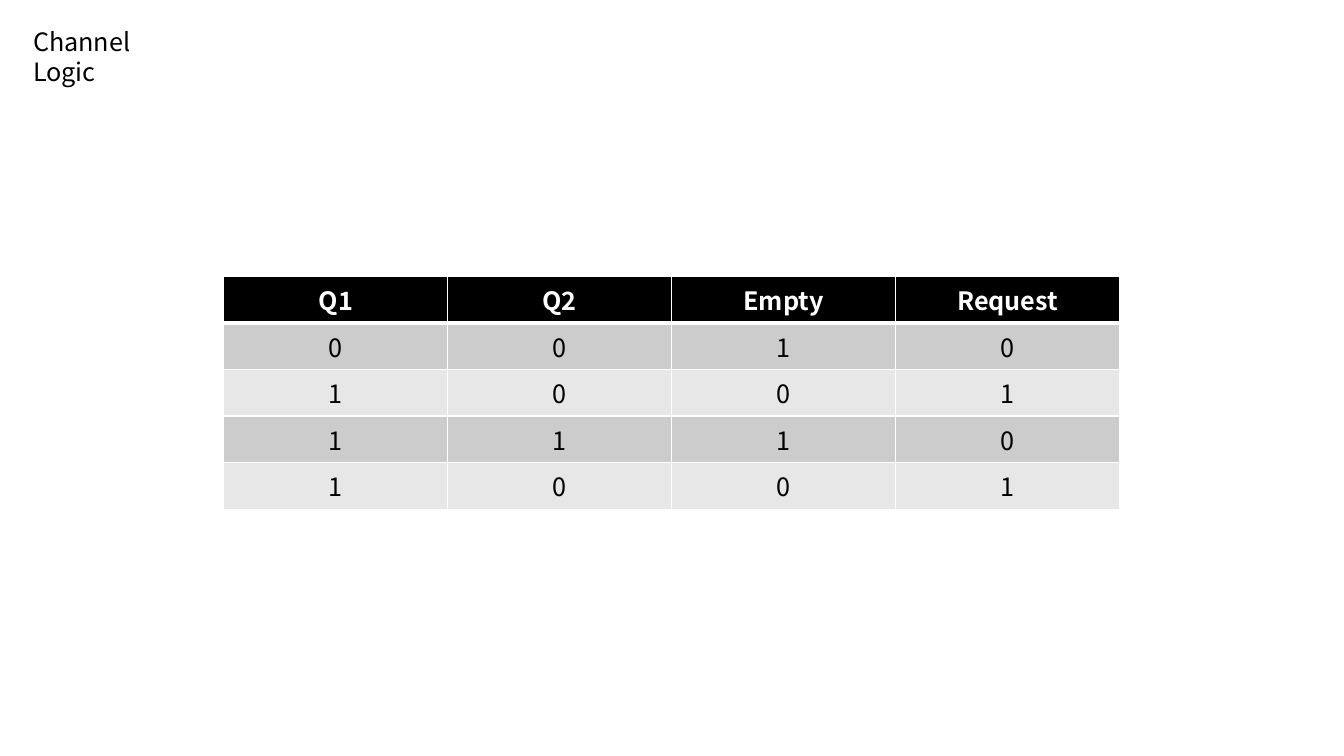
from lxml.etree import SubElement
from pptx import Presentation
from pptx.dml.color import RGBColor
from pptx.enum.text import MSO_ANCHOR as Anchor, PP_ALIGN as Align
from pptx.oxml.ns import qn
from pptx.util import Cm, Pt


def color(value):
    return RGBColor.from_string(value)


class SlideBuilder:
    """Hold the text style and the current slide, and add its elements."""

    font = "Noto Sans CJK KR"
    size = Pt(18)
    black, white = "000000", "FFFFFF"
    bands = ("CCCCCC", "E7E7E7")

    def __init__(self, presentation):
        self.slide = presentation.slides.add_slide(presentation.slide_layouts[5])

    def format_text(self, frame, text, align, fill, bold=False):
        frame.text = text
        paragraph = frame.paragraphs[0]
        paragraph.alignment = align
        for run in paragraph.runs:
            run.font.name, run.font.size, run.font.bold = self.font, self.size, bold
            run.font.color.rgb = color(fill)
            SubElement(run.font._element, qn("a:ea")).set("typeface", self.font)

    def title(self, text, left, top, width, height):
        shape = self.slide.shapes.title
        shape.left, shape.top, shape.width, shape.height = left, top, width, height
        frame = shape.text_frame
        frame.word_wrap = True
        frame.vertical_anchor = Anchor.TOP
        self.format_text(frame, text, Align.LEFT, self.black)

    def border(self, cell, side, width):
        properties = cell._tc.get_or_add_tcPr()
        line = SubElement(properties, qn(f"a:{side}"), w=str(Pt(width)))
        fill = SubElement(line, qn("a:solidFill"))
        SubElement(fill, qn("a:srgbClr"), val=self.white)

    def table(self, rows, left, top, width, height):
        frame = self.slide.shapes.add_table(len(rows), len(rows[0]), left, top, width, height)
        for row_index, row in enumerate(rows):
            header = row_index == 0
            background = self.black if header else self.bands[(row_index - 1) % 2]
            for column_index, value in enumerate(row):
                cell = frame.table.cell(row_index, column_index)
                self.format_text(cell.text_frame, value, Align.CENTER,
                                 self.white if header else self.black, header)
                for side in ("lnL", "lnR", "lnT", "lnB"):
                    thick = (header and side == "lnB") or (row_index == 1 and side == "lnT")
                    self.border(cell, side, 3 if thick else 1)
                cell.fill.solid()
                cell.fill.fore_color.rgb = color(background)


presentation = Presentation()
presentation.slide_width, presentation.slide_height = Cm(33.87), Cm(19.05)
builder = SlideBuilder(presentation)
builder.title("Channel Logic", Cm(0.58), Cm(0.53), Cm(4.5), Cm(1.03))
builder.table(
    [
        ("Q1", "Q2", "Empty", "Request"),
        ("0", "0", "1", "0"),
        ("1", "0", "0", "1"),
        ("1", "1", "1", "0"),
        ("1", "0", "0", "1"),
    ],
    Cm(5.64), Cm(6.96), Cm(22.58), Cm(5.15),
)
presentation.save("out.pptx")
